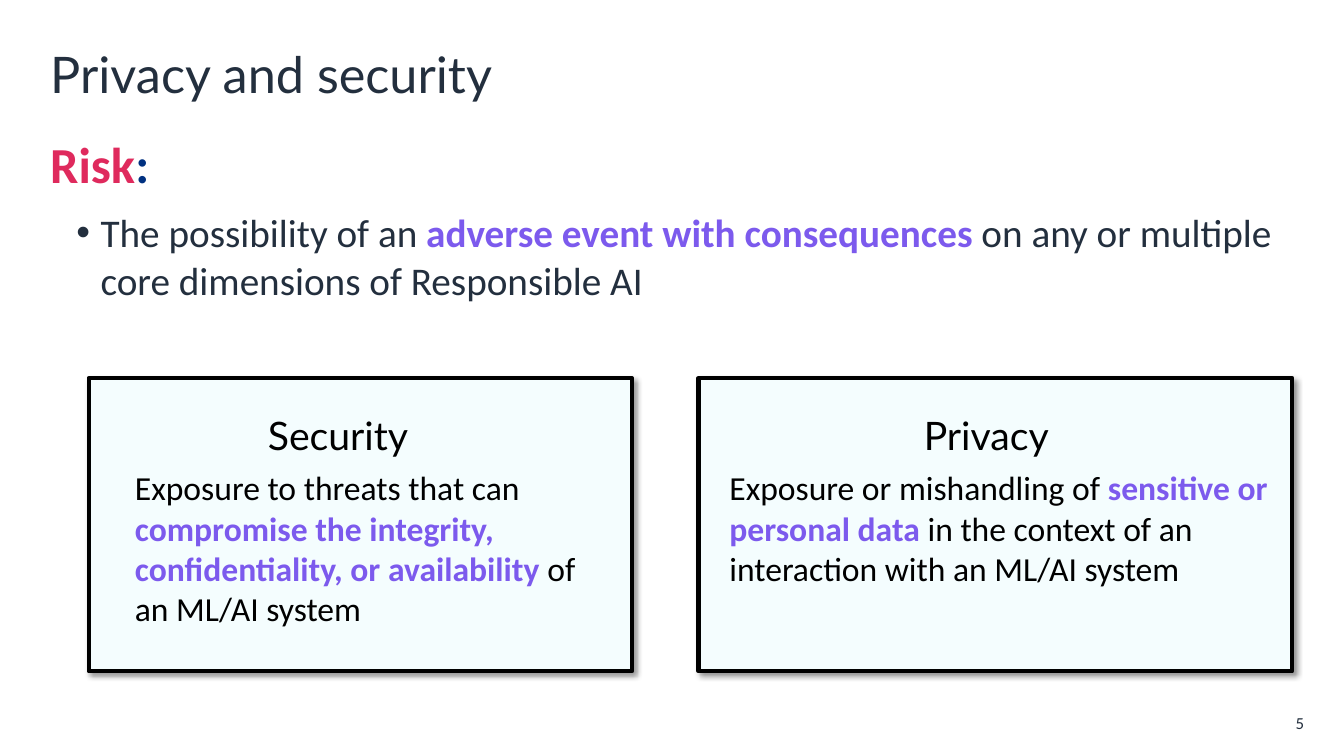
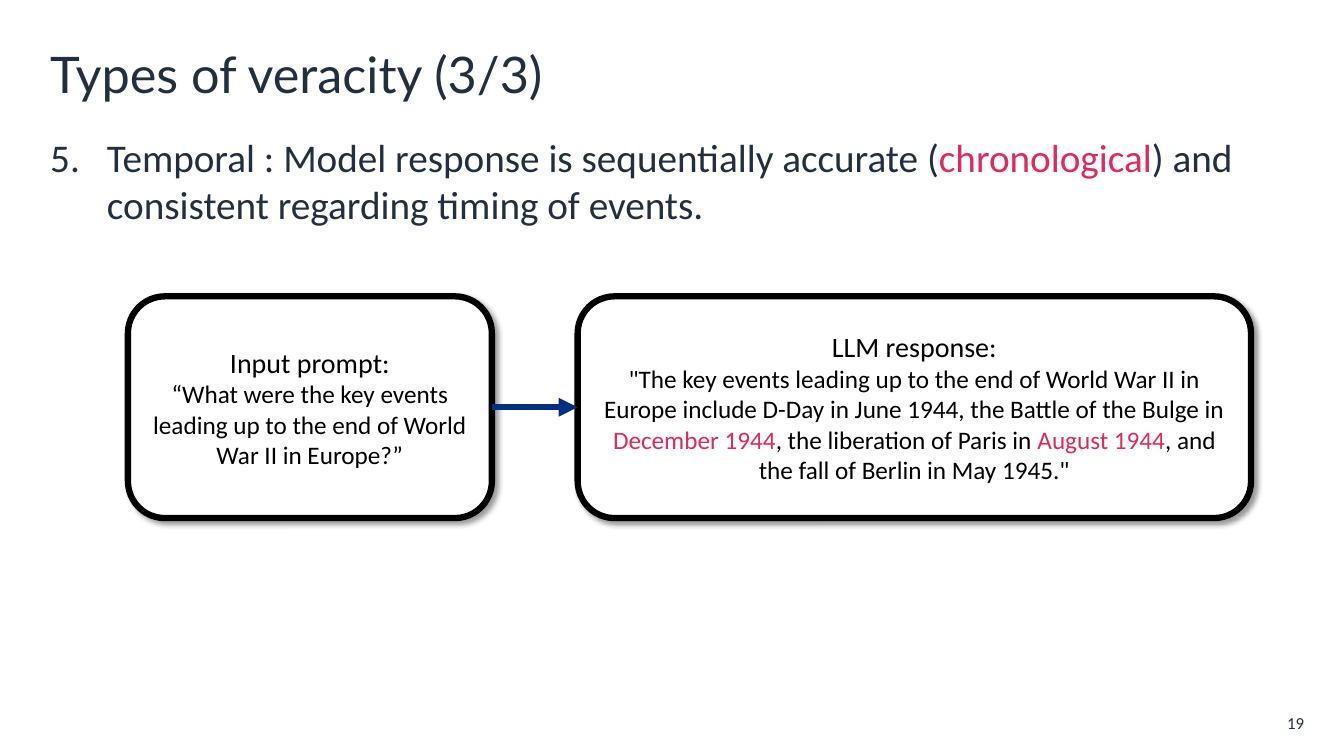
from lxml import etree
from pptx import Presentation
from pptx.dml.color import RGBColor
from pptx.enum.shapes import MSO_CONNECTOR, MSO_SHAPE
from pptx.enum.text import MSO_ANCHOR, PP_ALIGN
from pptx.oxml.ns import qn
from pptx.util import Pt

RECT = MSO_SHAPE.RECTANGLE
ROUND = MSO_SHAPE.ROUNDED_RECTANGLE
LINE = MSO_CONNECTOR.STRAIGHT
TOP = MSO_ANCHOR.TOP
MIDDLE = MSO_ANCHOR.MIDDLE
LEFT = PP_ALIGN.LEFT
CENTER = PP_ALIGN.CENTER
RIGHT = PP_ALIGN.RIGHT

INK = RGBColor(0x23, 0x2F, 0x3E)
RED = RGBColor(0xDF, 0x2A, 0x5D)
NAVY = RGBColor(0x00, 0x31, 0x81)
VIOLET = RGBColor(0x7C, 0x5A, 0xED)
BLACK = RGBColor(0, 0, 0)
WHITE = RGBColor(255, 255, 255)
PALE = RGBColor(0xF4, 0xFD, 0xFE)

HEAD = "Lato"
BODY = "Calibri"
EDGE = 28.8
SPAN = 902.8


def add_node(node, tag, **attrs):
    return etree.SubElement(node, qn(tag), attrs)


def add_box(slide, left, top, width, height, anchor=TOP):
    box = slide.shapes.add_textbox(Pt(left), Pt(top), Pt(width), Pt(height))
    frame = box.text_frame
    frame.word_wrap = True
    frame.vertical_anchor = anchor
    return frame


def add_para(frame, parts, size, font=BODY, align=LEFT, after=0, before=0):
    para = frame.paragraphs[0]
    if para.runs:
        para = frame.add_paragraph()
    para.alignment = align
    para.space_before = Pt(before)
    para.space_after = Pt(after)
    for text, color, bold in parts:
        run = para.add_run()
        run.text = text
        run.font.name = font
        run.font.size = Pt(size)
        run.font.bold = bold
        run.font.color.rgb = color
    return para


def set_indent(para, margin, first=0):
    props = para._p.get_or_add_pPr()
    props.set("marL", str(Pt(margin)))
    props.set("indent", str(Pt(first)))
    return props


def add_page(deck, title, number):
    slide = deck.slides.add_slide(deck.slide_layouts[6])
    frame = add_box(slide, EDGE, 23.8, SPAN, 57.6, MIDDLE)
    add_para(frame, [(title, INK, False)], 36, HEAD)
    frame = add_box(slide, 893.5, 507.6, 38.1, 18, MIDDLE)
    frame.margin_left = frame.margin_right = 0
    frame.margin_top = frame.margin_bottom = 0
    add_para(frame, [(number, INK, False)], 12, align=RIGHT)
    return slide


def add_panel(slide, kind, left, top, width, height, fill, weight):
    panel = slide.shapes.add_shape(
        kind, Pt(left), Pt(top), Pt(width), Pt(height))
    panel.fill.solid()
    panel.fill.fore_color.rgb = fill
    panel.line.color.rgb = BLACK
    panel.line.width = Pt(weight)
    panel.shadow.inherit = False
    effects = panel._element.spPr.find(qn("a:effectLst"))
    shadow = add_node(effects, "a:outerShdw", blurRad=str(Pt(4)),
                      dist=str(Pt(3)), dir="2700000", algn="tl",
                      rotWithShape="0")
    color = add_node(shadow, "a:srgbClr", val=str(BLACK))
    add_node(color, "a:alpha", val="40000")
    panel.text_frame.word_wrap = True
    return panel


def add_card(slide, left, width, indent, inset, title, parts):
    panel = add_panel(slide, RECT, left, 270, width, 209.5, PALE, 3)
    frame = panel.text_frame
    frame.vertical_anchor = TOP
    frame.margin_left = 0
    frame.margin_right = Pt(inset)
    frame.margin_top = Pt(24)
    add_para(frame, [(title, BLACK, False)], 28, HEAD, CENTER, 6)
    set_indent(add_para(frame, parts, 24, after=6), indent)


def add_bubble(slide, left, width, title, parts):
    panel = add_panel(slide, ROUND, left, 211.7, width, 158.4, WHITE, 4.5)
    frame = panel.text_frame
    frame.vertical_anchor = MIDDLE
    add_para(frame, [(title, BLACK, False)], 20, align=CENTER)
    add_para(frame, parts, 18, align=CENTER)
    return panel


def add_arrow(slide, start, end):
    arrow = slide.shapes.add_connector(LINE, 0, 0, 0, 0)
    arrow.begin_connect(start, 3)
    arrow.end_connect(end, 1)
    arrow.line.color.rgb = NAVY
    arrow.line.width = Pt(4.5)
    add_node(arrow.line._get_or_add_ln(), "a:tailEnd", type="triangle")
    add_node(arrow._element.spPr, "a:effectLst")


def add_risk(deck):
    slide = add_page(deck, "Privacy and security", "5")
    frame = add_box(slide, EDGE, 91.4, SPAN, 150.5)
    add_para(frame, [("Risk", RED, True), (":", NAVY, True)], 36, after=6)
    para = add_para(frame, [
        ("The possibility of an ", INK, False),
        ("adverse event with consequences ", VIOLET, True),
        ("on any or multiple core dimensions of Responsible AI", INK, False),
    ], 28, after=6, before=5)
    props = set_indent(para, 36, -17.3)
    add_node(props, "a:buFont", typeface="Arial")
    add_node(props, "a:buChar", char="•")
    add_card(slide, 63.4, 388, 33, 32, "Security", [
        ("Exposure to threats that can ", BLACK, False),
        ("compromise the integrity, confidentiality, or availability",
         VIOLET, True),
        (" of an ML/AI system", BLACK, False),
    ])
    add_card(slide, 499, 424, 22, 13, "Privacy", [
        ("Exposure or mishandling of ", BLACK, False),
        ("sensitive or personal data", VIOLET, True),
        (" in the context of an interaction with an ML/AI system",
         BLACK, False),
    ])


def add_types(deck):
    slide = add_page(deck, "Types of veracity (3/3)", "19")
    frame = add_box(slide, EDGE, 91.4, SPAN, 80)
    para = add_para(frame, [
        ("Temporal : Model response is sequentially accurate (", INK, False),
        ("chronological", RED, False),
        (") and consistent regarding timing of events.", INK, False),
    ], 28, after=6)
    props = set_indent(para, 40.5, -40.5)
    add_node(props, "a:buAutoNum", type="arabicPeriod", startAt="5")
    prompt = add_bubble(slide, 91.4, 260, "Input prompt:", [
        ("“What were the key events leading up to the end of "
         "World War II in Europe?”", BLACK, False),
    ])
    reply = add_bubble(slide, 412.6, 481, "LLM response:", [
        ("\"The key events leading up to the end of World War II in Europe "
         "include D-Day in June 1944, the Battle of the Bulge in ",
         BLACK, False),
        ("December 1944", RED, False),
        (", the liberation of Paris in ", BLACK, False),
        ("August 1944", RED, False),
        (", and the fall of Berlin in May 1945.\"", BLACK, False),
    ])
    add_arrow(slide, prompt, reply)


def main():
    deck = Presentation()
    deck.slide_width = Pt(960)
    deck.slide_height = Pt(540)
    add_risk(deck)
    add_types(deck)
    deck.save("out.pptx")


if __name__ == "__main__":
    main()
